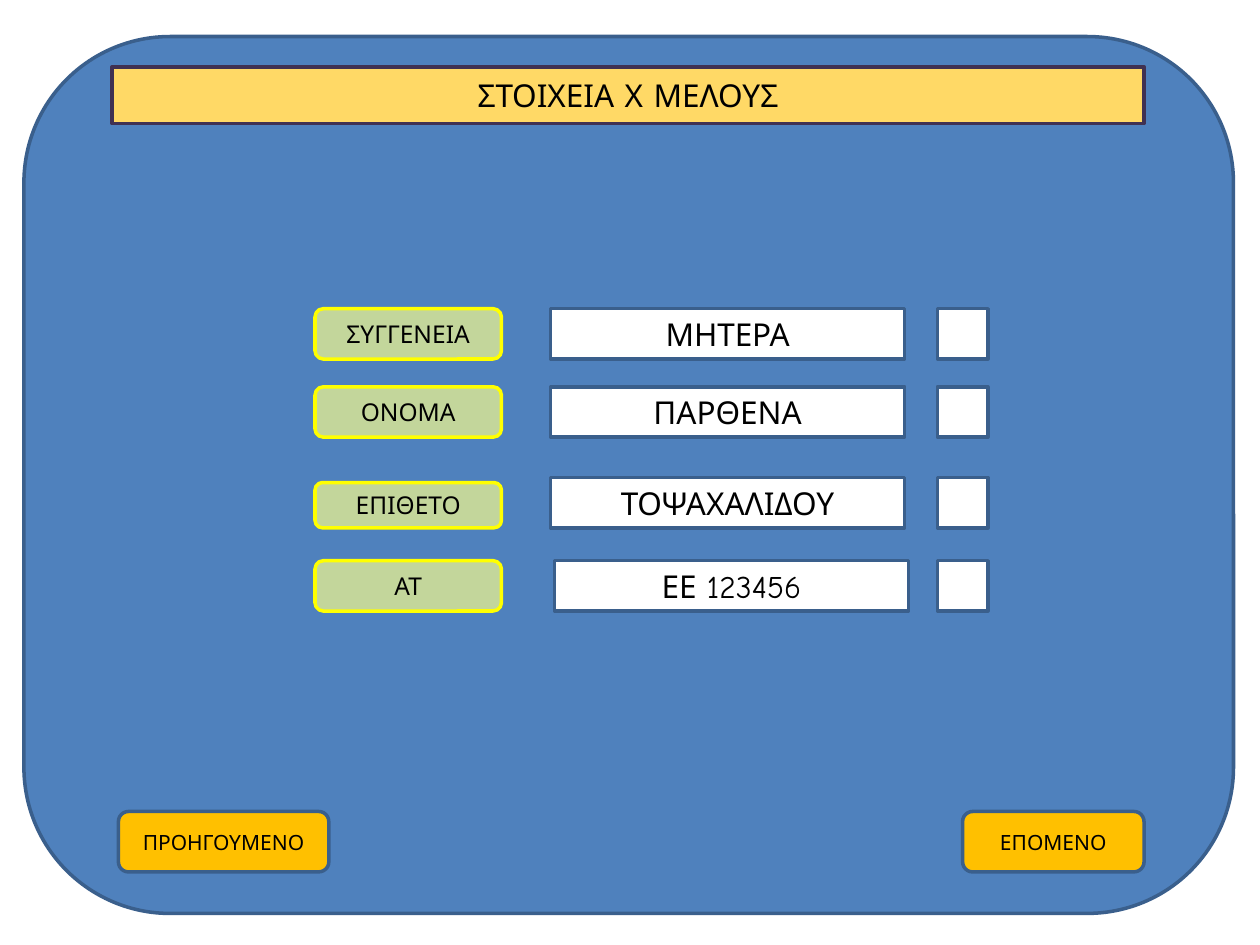
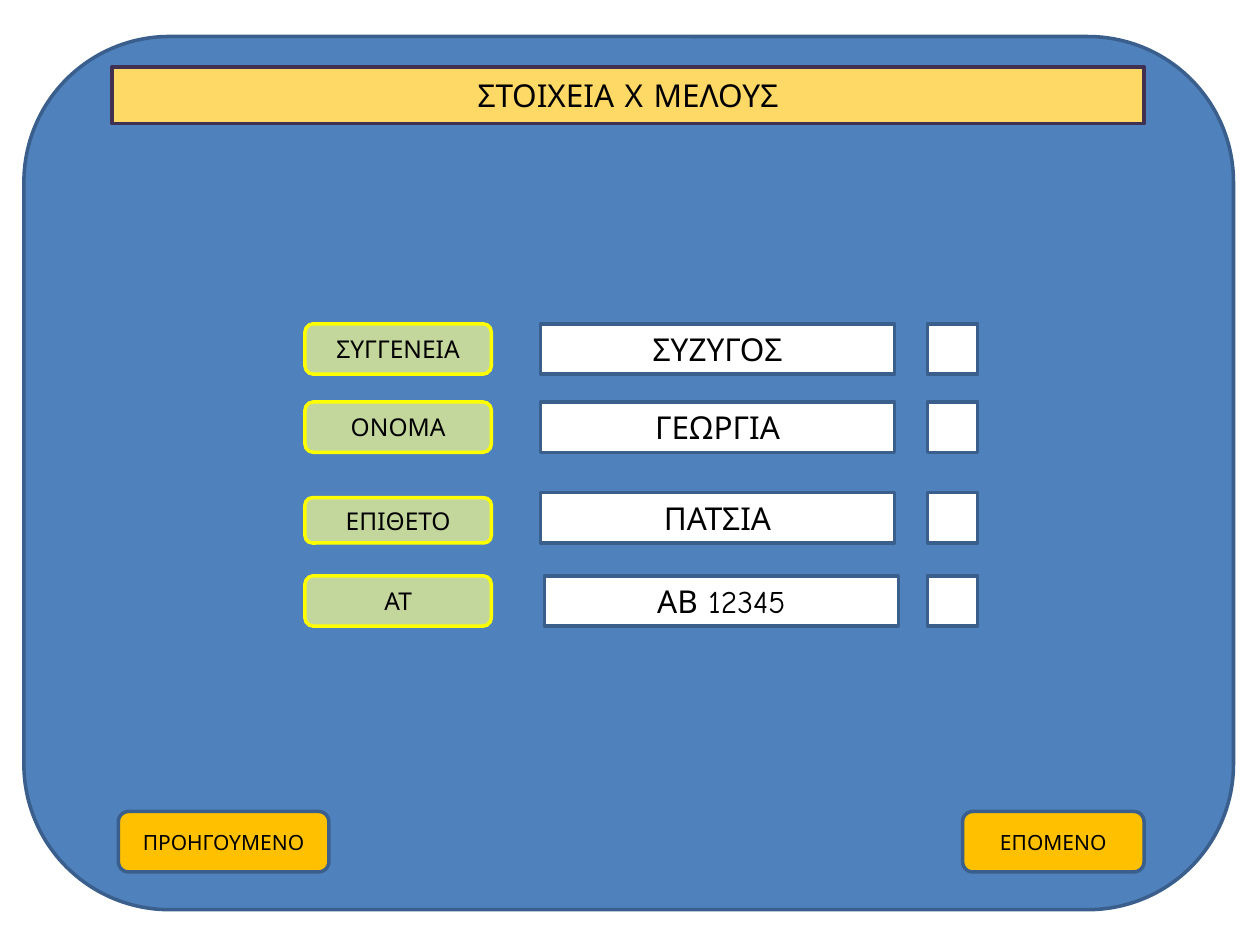
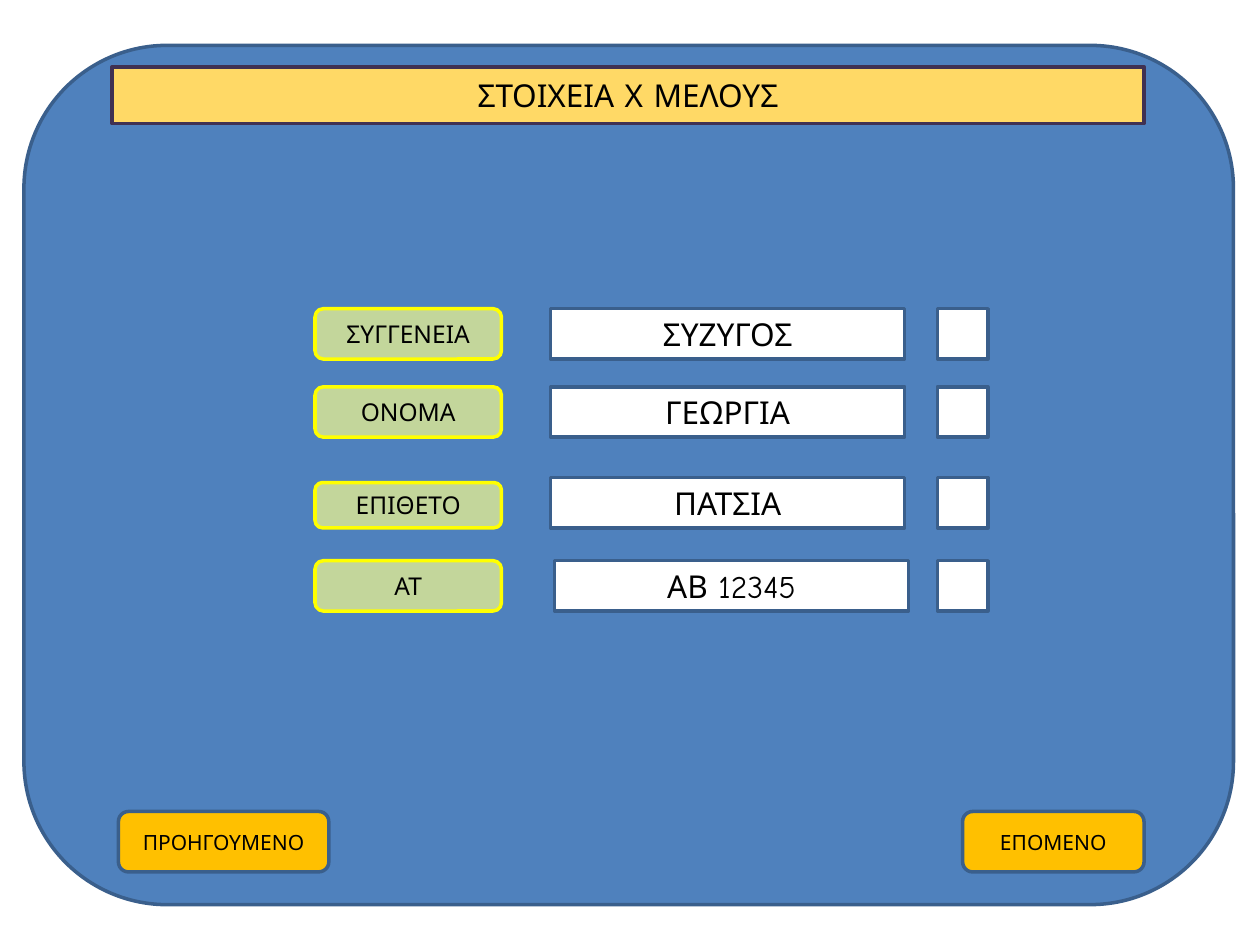
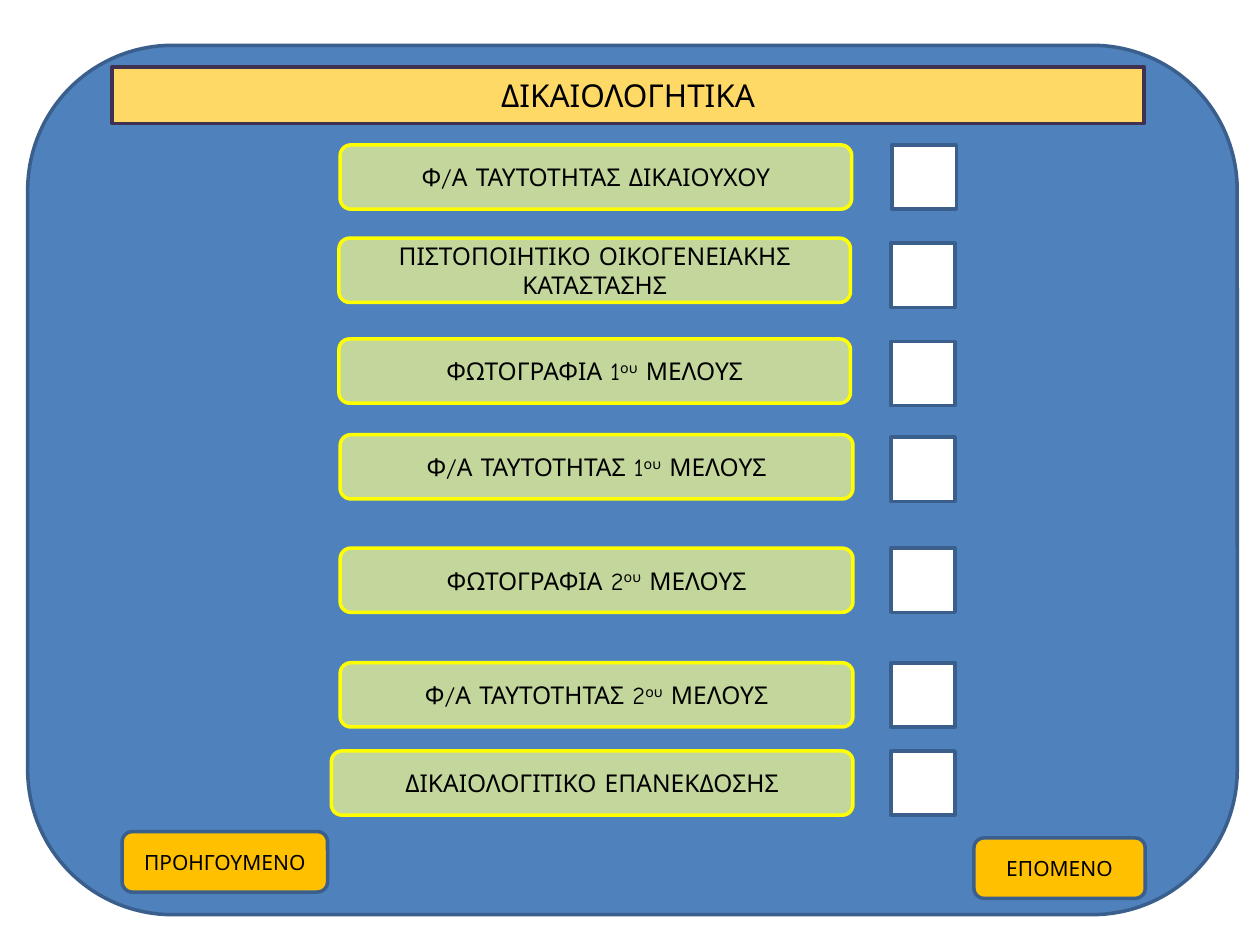
from pptx import Presentation
from pptx.dml.color import RGBColor
from pptx.enum.shapes import MSO_SHAPE
from pptx.enum.text import MSO_ANCHOR, PP_ALIGN
from pptx.util import Inches, Pt

RECTANGLE = MSO_SHAPE.RECTANGLE
ROUNDED = MSO_SHAPE.ROUNDED_RECTANGLE
MIDDLE = MSO_ANCHOR.MIDDLE
CENTER = PP_ALIGN.CENTER

FONT = "Comic Neue"
BLACK = "000000"
BORDER = "3A5F8C"
LINE_WIDTH = 2
SUPERSCRIPT_MARK = "^"

STYLES = {
    "panel": {"shape": ROUNDED, "fill": "4F81BD", "line": BORDER, "size": 18},
    "title": {"shape": RECTANGLE, "fill": "FFD966", "line": "403152", "size": 18},
    "label": {"shape": ROUNDED, "fill": "C3D69B", "line": "FFFF00", "size": 14},
    "field": {"shape": RECTANGLE, "fill": "FFFFFF", "line": BORDER, "size": 18},
    "button": {"shape": ROUNDED, "fill": "FFC000", "line": BORDER, "size": 12},
}

MEMBER_TITLE = "ΣΤΟΙΧΕΙΑ Χ ΜΕΛΟΥΣ"
MEMBER_BUTTONS = {"previous": (0.94, 6.44, 1.67), "next": (7.64, 6.44, 1.44)}
DOCUMENT_BUTTONS = {"previous": (0.97, 6.6, 1.63), "next": (7.73, 6.65, 1.36)}
BUTTON_TEXTS = {"previous": "ΠΡΟΗΓΟΥΜΕΝΟ", "next": "ΕΠΟΜΕΝΟ"}
BUTTON_HEIGHT = 0.48

LABEL_LEFT, LABEL_WIDTH = 2.5, 1.48
FIELD_WIDTH = 2.81
CHECK_LEFT = 7.44
ROW_HEIGHT = 0.4
MEMBER_ROWS = [
    {"label": "ΣΥΓΓΕΝΕΙΑ", "top": 2.45, "label_height": 0.4, "field_left": 4.37},
    {"label": "ΟΝΟΜΑ", "top": 3.07, "label_height": 0.4, "field_left": 4.37},
    {"label": "ΕΠΙΘΕΤΟ", "top": 3.79, "label_height": 0.36, "field_left": 4.37},
    {"label": "ΑΤ", "top": 4.45, "label_height": 0.4, "field_left": 4.4},
]
SPOUSE = ["ΣΥΖΥΓΟΣ", "ΓΕΩΡΓΙΑ", "ΠΑΤΣΙΑ", "ΑΒ 12345"]
MEMBERS = [
    {
        "panel": (0.19, 0.29, 9.6, 6.96),
        "shift": (0, 0),
        "values": ["ΜΗΤΕΡΑ", "ΠΑΡΘΕΝΑ", "ΤΟΨΑΧΑΛΙΔΟΥ", "ΕΕ 123456"],
    },
    {"panel": (0.19, 0.29, 9.6, 6.93), "shift": (-0.08, 0.12), "values": SPOUSE},
    {"panel": (0.19, 0.36, 9.6, 6.82), "shift": (0, 0), "values": SPOUSE},
]

DOCUMENT_HEIGHT = 0.51
DOCUMENTS = [
    ("Φ/Α ΤΑΥΤΟΤΗΤΑΣ ΔΙΚΑΙΟΥΧΟΥ", 2.7, 1.15, 4.06, 7.08, 1.15),
    ("ΠΙΣΤΟΠΟΙΗΤΙΚΟ ΟΙΚΟΓΕΝΕΙΑΚΗΣ ΚΑΤΑΣΤΑΣΗΣ", 2.69, 1.89, 4.06, 7.07, 1.93),
    ("ΦΩΤΟΓΡΑΦΙΑ 1^ου^ ΜΕΛΟΥΣ", 2.69, 2.69, 4.06, 7.07, 2.71),
    ("Φ/Α ΤΑΥΤΟΤΗΤΑΣ 1^ου^ ΜΕΛΟΥΣ", 2.7, 3.45, 4.07, 7.07, 3.47),
    ("ΦΩΤΟΓΡΑΦΙΑ 2^ου^ ΜΕΛΟΥΣ", 2.7, 4.35, 4.07, 7.07, 4.35),
    ("Φ/Α ΤΑΥΤΟΤΗΤΑΣ 2^ου^ ΜΕΛΟΥΣ", 2.7, 5.26, 4.07, 7.07, 5.26),
    ("ΔΙΚΑΙΟΛΟΓΙΤΙΚΟ ΕΠΑΝΕΚΔΟΣΗΣ", 2.63, 5.96, 4.14, 7.07, 5.96),
]


def color(value):
    return RGBColor.from_string(value)


def apply(target, values):
    for name, value in values.items():
        setattr(target, name, value)


def write_text(box, text, size):
    apply(box.text_frame, {"word_wrap": True, "vertical_anchor": MIDDLE})
    para = box.text_frame.paragraphs[0]
    para.alignment = CENTER
    for index, piece in enumerate(text.split(SUPERSCRIPT_MARK)):
        span = para.add_run()
        span.text = piece
        apply(span.font, {"name": FONT, "size": Pt(size)})
        span.font.color.rgb = color(BLACK)
        if index % 2:
            span.font._element.set("baseline", "30000")


def add_box(page, kind, bounds, text=""):
    style = STYLES[kind]
    box = page.shapes.add_shape(style["shape"], *map(Inches, bounds))
    box.shadow.inherit = False
    box.fill.solid()
    box.fill.fore_color.rgb = color(style["fill"])
    box.line.color.rgb = color(style["line"])
    box.line.width = Pt(LINE_WIDTH)
    if text:
        write_text(box, text, style["size"])


def add_checkbox(page, left, top, side):
    add_box(page, "field", (left, top, side, side))


def add_form_page(deck, panel, title, buttons):
    page = deck.slides.add_slide(deck.slide_layouts[6])
    add_box(page, "panel", panel)
    add_box(page, "title", (0.89, 0.53, 8.19, 0.45), title)
    for name, bounds in buttons.items():
        add_box(page, "button", (*bounds, BUTTON_HEIGHT), BUTTON_TEXTS[name])
    return page


def add_member_page(deck, panel, shift, values):
    page = add_form_page(deck, panel, MEMBER_TITLE, MEMBER_BUTTONS)
    right, down = shift
    for row, value in zip(MEMBER_ROWS, values):
        top = row["top"] + down
        height = row["label_height"]
        label_top = top + ROW_HEIGHT - height
        label_bounds = (LABEL_LEFT + right, label_top, LABEL_WIDTH, height)
        field_bounds = (row["field_left"] + right, top, FIELD_WIDTH, ROW_HEIGHT)
        add_box(page, "label", label_bounds, row["label"])
        add_box(page, "field", field_bounds, value)
        add_checkbox(page, CHECK_LEFT + right, top, ROW_HEIGHT)


def add_documents_page(deck):
    panel = (0.22, 0.36, 9.6, 6.9)
    page = add_form_page(deck, panel, "ΔΙΚΑΙΟΛΟΓΗΤΙΚΑ", DOCUMENT_BUTTONS)
    for text, left, top, width, check_left, check_top in DOCUMENTS:
        add_box(page, "label", (left, top, width, DOCUMENT_HEIGHT), text)
        add_checkbox(page, check_left, check_top, DOCUMENT_HEIGHT)


def main():
    deck = Presentation()
    apply(deck, {"slide_width": Inches(10), "slide_height": Inches(7.5)})
    for member in MEMBERS:
        add_member_page(deck, **member)
    add_documents_page(deck)
    deck.save("out.pptx")


if __name__ == "__main__":
    main()
